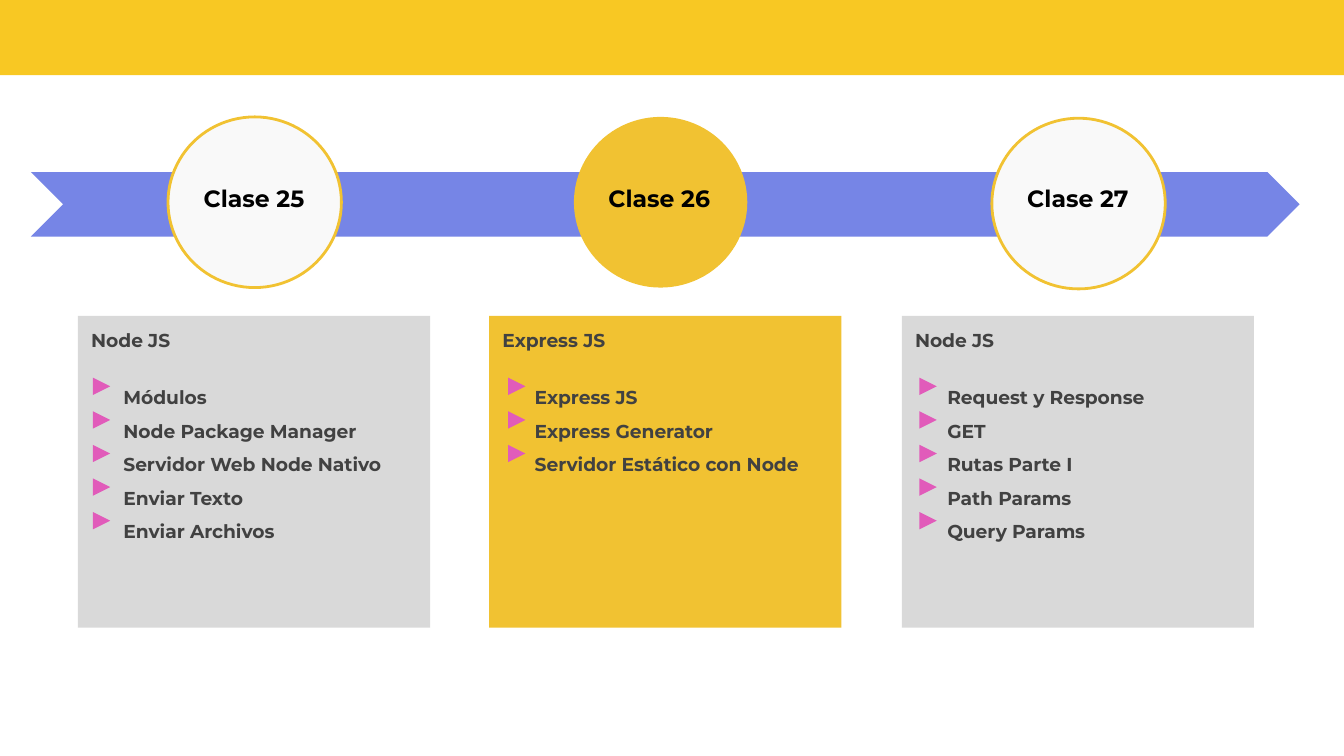
from pptx import Presentation
from pptx.dml.color import RGBColor
from pptx.enum.shapes import MSO_SHAPE as SHAPE
from pptx.enum.text import MSO_ANCHOR, MSO_AUTO_SIZE, PP_ALIGN
from pptx.util import Inches, Pt

TOP, FIXED = MSO_ANCHOR.TOP, MSO_AUTO_SIZE.NONE
LEFT, CENTER = PP_ALIGN.LEFT, PP_ALIGN.CENTER

FONT = "Montserrat"
COLORS = {
    "band": "F8C823", "arrow": "7685E6", "gold": "F1C232", "pale": "F9F9F9",
    "gray": "D9D9D9", "mark": "E15BBA", "black": "000000", "text": "414141",
}

# Content; discs are left and top, labels are left and width
CLASSES = [
    {"name": "Clase 25", "head": "Node JS", "now": False,
     "items": ["Módulos", "Node Package Manager", "Servidor Web Node Nativo",
               "Enviar Texto", "Enviar Archivos"],
     "disc": (1.25, 0.87), "label": (1.39, 1.0), "card": 0.58, "mark": 0.69},
    {"name": "Clase 26", "head": "Express JS", "now": True,
     "items": ["Express JS", "Express Generator", "Servidor Estático con Node"],
     "disc": (4.27, 0.87), "label": (4.31, 1.19), "card": 3.64, "mark": 3.78},
    {"name": "Clase 27", "head": "Node JS", "now": False,
     "items": ["Request y Response", "GET", "Rutas Parte I", "Path Params",
               "Query Params"],
     "disc": (7.38, 0.88), "label": (7.52, 1.0), "card": 6.71, "mark": 6.84},
]
CARD_TOP, CARD_W, CARD_H = 2.35, 2.62, 2.32
MARK_TOP, MARK_GAP, MARK = 2.81, 0.25, 0.13

prs = Presentation()
prs.slide_width = Inches(10)
prs.slide_height = prs.slide_width * 9 // 16
slide = prs.slides.add_slide(prs.slide_layouts[5])
shapes = slide.shapes


def color(key):
    return RGBColor.from_string(COLORS[key])


def draw(kind, box, fill, line=None):
    item = shapes.add_shape(kind, *map(Inches, box))
    item.shadow.inherit = False
    item.fill.solid()
    item.fill.fore_color.rgb = color(fill)
    if line:
        item.line.color.rgb = color(line)
        item.line.width = Pt(1.5)
    else:
        item.line.fill.background()
    return item


def write(item, box, lines, size, tint, align):
    item.left, item.top, item.width, item.height = map(Inches, box)
    frame = item.text_frame
    frame.word_wrap, frame.auto_size = True, FIXED
    frame.vertical_anchor = TOP
    frame.margin_left = frame.margin_right = frame.margin_top = Inches(0.1)
    frame.margin_bottom = 0
    frame.text = "\n".join(lines)
    for para in frame.paragraphs:
        para.alignment = align
        font = para.font
        font.name, font.size, font.bold = FONT, Pt(size), True
        font.color.rgb = color(tint)
    return frame.paragraphs


# Top band and timeline arrow
draw(SHAPE.RECTANGLE, (-0.01, -0.05, 10.03, 0.61), "band")
draw(SHAPE.CHEVRON, (0.23, 1.28, 9.44, 0.48), "arrow")

for part in CLASSES:
    # Disc with the class name; the current class holds the slide title
    now = part["now"]
    draw(SHAPE.OVAL, (*part["disc"], 1.29, 1.27),
         "gold" if now else "pale", None if now else "gold")
    if now:
        label = shapes.title
        shapes._spTree.append(label._element)  # bring to front
    else:
        label = shapes.add_textbox(0, 0, 0, 0)
    left, width = part["label"]
    write(label, (left, 1.27, width, 0.33), [part["name"]],
          12.6, "black", CENTER)

    # Card with heading and topics
    box = (part["card"], CARD_TOP, CARD_W, CARD_H)
    draw(SHAPE.RECTANGLE, box, "gold" if now else "gray")
    note = shapes.add_textbox(0, 0, 0, 0)
    lines = [part["head"], *part["items"]]
    topics = write(note, box, lines, 10, "text", LEFT)[1:]
    topics[0].space_before = Pt(12.2)
    for row, topic in enumerate(topics):
        topic.line_spacing = 1.5
        topic._p.get_or_add_pPr().set("marL", str(Inches(0.24)))
        top = MARK_TOP + row * MARK_GAP
        mark = draw(SHAPE.ISOSCELES_TRIANGLE,
                    (part["mark"], top, MARK, MARK), "mark")
        mark.rotation = 90

prs.save("out.pptx")
